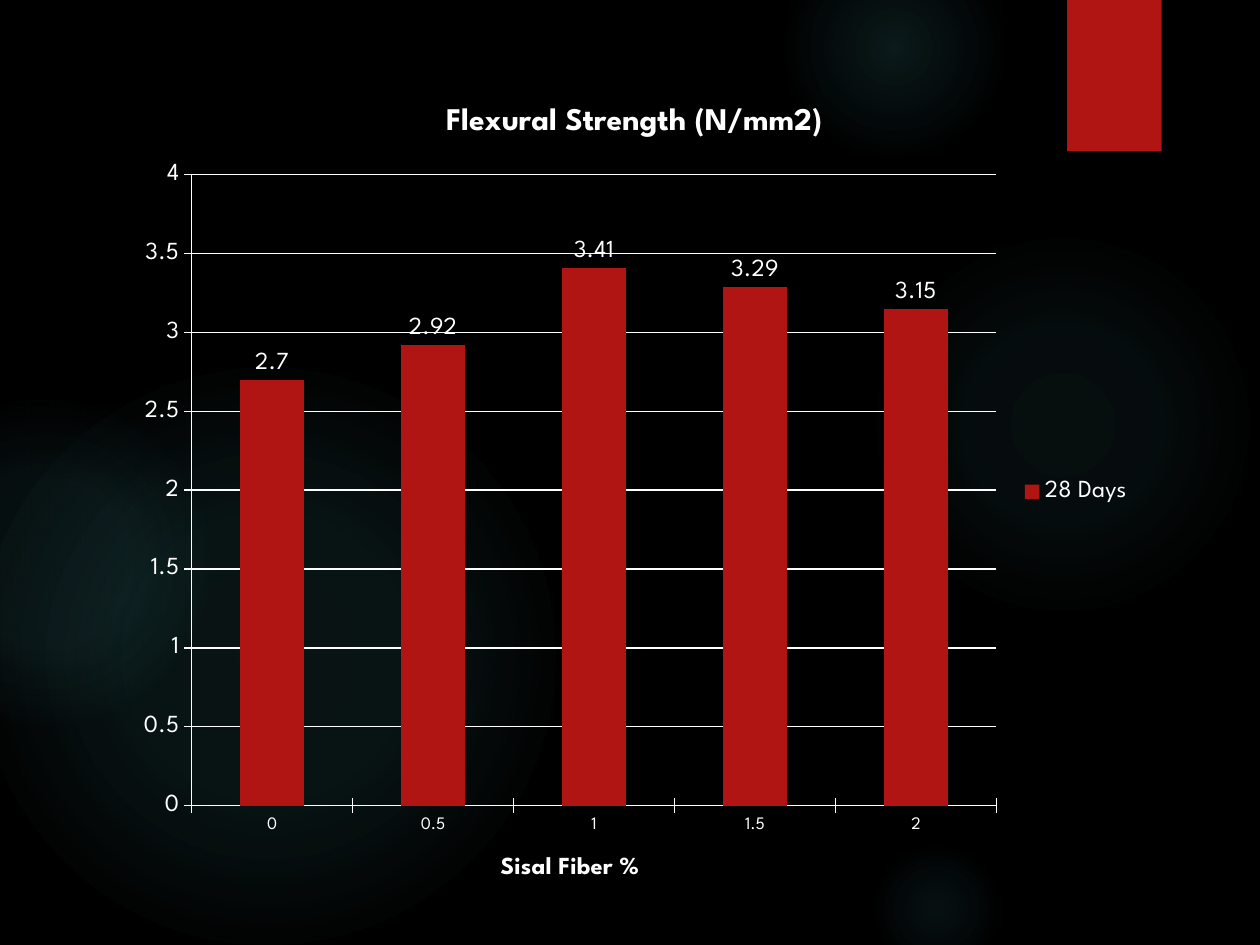
import pptx
import pptx.chart.data
import pptx.dml.color
import pptx.enum.chart
import pptx.enum.shapes
import pptx.oxml
import pptx.oxml.ns
import pptx.util
from dataclasses import dataclass

SCALE = 9144  # EMU per px, 100 px to the inch
NS = pptx.oxml.ns.nsdecls("a")
SHAPE = pptx.enum.shapes.MSO_SHAPE
ENUM = pptx.enum.chart


@dataclass(frozen=True)
class Theme:
    font: str = "League Spartan"
    back: str = "000000"
    ink: str = "FFFFFF"
    red: str = "B01513"
    glow: str = "50B9C1"
    head: int = 18
    text: int = 14
    small: int = 10
    rule: float = 0.75


THEME = Theme()

# box, then (stop %, opacity %) from the centre outwards
GLOWS = [
    ((689, 183, 308, 308), [(0, 7), (36, 6), (69, 0)]),
    ((622, -50, 175, 175), [(0, 14), (36, 7), (73, 0)]),
    ((689, 667, 108, 108), [(0, 9), (36, 5), (66, 0)]),
    ((-17, 292, 458, 458), [(0, 11), (36, 10), (75, 0)]),
    ((-92, 317, 258, 258), [(0, 8), (36, 8), (72, 0)]),
]
STRENGTH = {"0": 2.7, "0.5": 2.92, "1": 3.41, "1.5": 3.29, "2": 3.15}


def emu(box):
    return [px * SCALE for px in box]


def paint(fill, color):
    fill.solid()
    fill.fore_color.rgb = pptx.dml.color.RGBColor.from_string(color)


def style(font, size, bold=False):
    font.name = THEME.font
    font.size = pptx.util.Pt(size)
    font.bold = bold
    paint(font.fill, THEME.ink)


def rule(line):
    paint(line.fill, THEME.ink)
    line.width = pptx.util.Pt(THEME.rule)


def add_shape(slide, kind, box):
    shape = slide.shapes.add_shape(kind, *emu(box))
    shape.shadow.inherit = False
    shape.line.fill.background()
    return shape


def add_glow(slide, box, stops):
    """Place a circle that fades out from its centre."""
    shape = add_shape(slide, SHAPE.OVAL, box)
    marks = "".join(
        f'<a:gs pos="{pos * 1000}"><a:srgbClr val="{THEME.glow}">'
        f'<a:alpha val="{alpha * 1000}"/></a:srgbClr></a:gs>'
        for pos, alpha in stops
    )
    fade = pptx.oxml.parse_xml(
        f'<a:gradFill {NS} rotWithShape="1"><a:gsLst>{marks}</a:gsLst>'
        '<a:path path="circle"><a:fillToRect l="50000" t="50000" '
        'r="50000" b="50000"/></a:path></a:gradFill>'
    )
    shape.fill.background()
    props = shape.element.spPr
    props.replace(props.find(pptx.oxml.ns.qn("a:noFill")), fade)


def add_tab(slide, box):
    """Place the red tab with its soft shadow."""
    shape = add_shape(slide, SHAPE.RECTANGLE, box)
    paint(shape.fill, THEME.red)
    shade = pptx.oxml.parse_xml(
        f'<a:outerShdw {NS} blurRad="38100" dist="25400" dir="5400000" '
        'rotWithShape="0"><a:srgbClr val="000000"><a:alpha val="45000"/>'
        "</a:srgbClr></a:outerShdw>"
    )
    shape.element.spPr.find(pptx.oxml.ns.qn("a:effectLst")).append(shade)


def set_title(owner, text, size):
    """Title a chart or an axis."""
    owner.has_title = True
    frame = (owner.chart_title if hasattr(owner, "chart_title")
             else owner.axis_title).text_frame
    frame.text = text
    style(frame.paragraphs[0].font, size, True)


def set_axis(axis, size):
    axis.major_tick_mark = ENUM.XL_TICK_MARK.CROSS
    axis.minor_tick_mark = ENUM.XL_TICK_MARK.NONE
    style(axis.tick_labels.font, size)
    rule(axis.format.line)


def add_chart(slide, box):
    data = pptx.chart.data.CategoryChartData()
    data.categories = list(STRENGTH)
    data.add_series("28 Days", STRENGTH.values())
    kind = ENUM.XL_CHART_TYPE.COLUMN_CLUSTERED
    chart = slide.shapes.add_chart(kind, *emu(box), data).chart
    style(chart.font, THEME.small)
    set_title(chart, "Flexural Strength (N/mm2)", THEME.head)

    set_axis(chart.category_axis, THEME.small)
    set_title(chart.category_axis, "Sisal Fiber %", THEME.text)
    scale = chart.value_axis
    set_axis(scale, THEME.text)
    scale.minimum_scale, scale.maximum_scale = 0, 4
    scale.major_unit = 0.5
    scale.has_major_gridlines = True
    rule(scale.major_gridlines.format.line)

    chart.has_legend = True
    chart.legend.position = ENUM.XL_LEGEND_POSITION.RIGHT
    chart.legend.include_in_layout = False
    style(chart.legend.font, THEME.text)

    plot = chart.plots[0]
    plot.gap_width = 150
    plot.vary_by_categories = False
    paint(plot.series[0].format.fill, THEME.red)
    labels = plot.series[0].data_labels
    labels.show_value = True
    labels.position = ENUM.XL_LABEL_POSITION.OUTSIDE_END
    style(labels.font, THEME.text)


def main():
    deck = pptx.Presentation()
    deck.slide_width, deck.slide_height = emu((1000, 750))
    slide = deck.slides.add_slide(deck.slide_layouts[6])
    paint(slide.background.fill, THEME.back)
    for box, stops in GLOWS:
        add_glow(slide, box, stops)
    add_tab(slide, (847, 0, 75, 120))
    add_chart(slide, (98, 60, 811, 661))
    deck.save("out.pptx")


if __name__ == "__main__":
    main()
